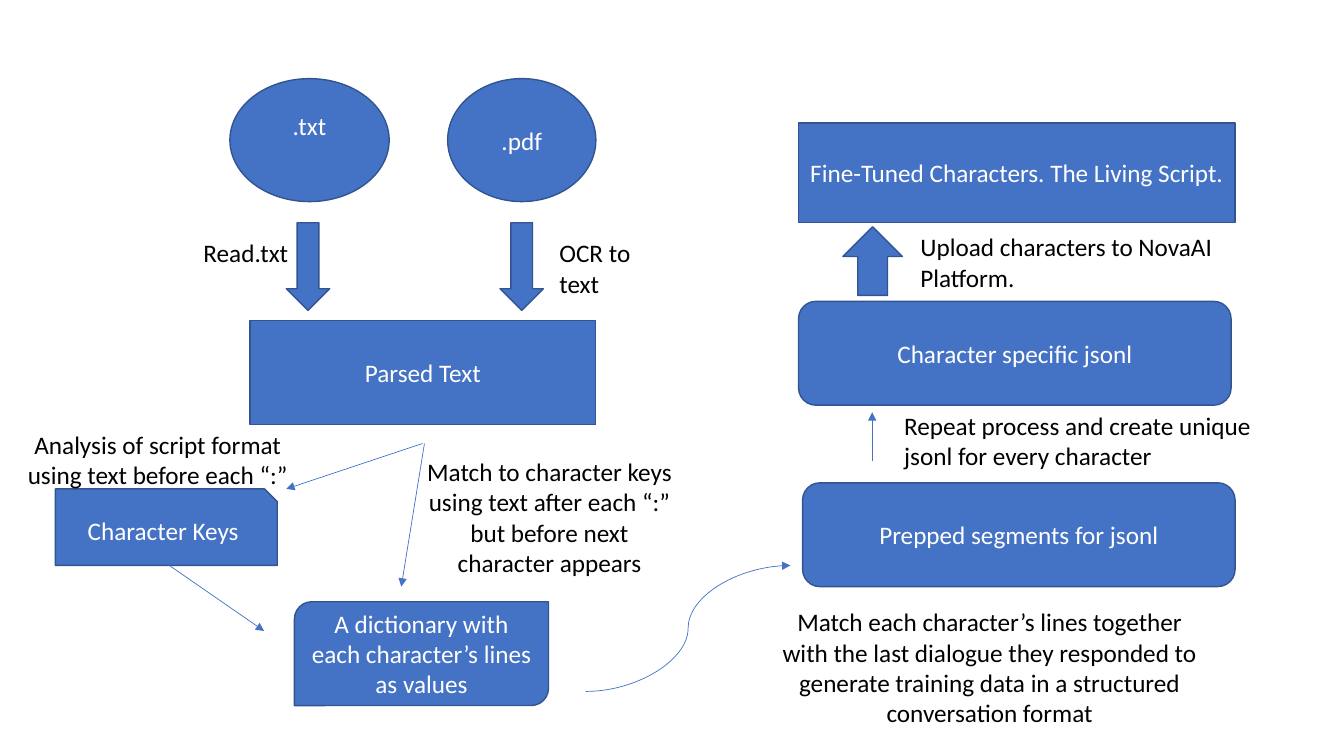
"""Build a flow slide that turns script files into fine-tuned characters."""
from pptx import Presentation
from pptx.dml.color import RGBColor
from pptx.enum.shapes import MSO_CONNECTOR as CONN, MSO_SHAPE as SHAPE
from pptx.enum.text import MSO_ANCHOR as ANCHOR, PP_ALIGN as ALIGN
from pptx.oxml.ns import qn
from pptx.util import Inches, Pt
from lxml import etree

COLORS = {"fill": "4472C4", "edge": "325491", "light": "FFFFFF", "dark": "000000"}
FONT, SIZE = "Calibri", 18

STEPS = [
    (SHAPE.OVAL, ".txt", (2.28, 0.78, 1.58, 1.22), 0.35),
    (SHAPE.OVAL, ".pdf", (4.44, 0.78, 1.47, 1.22), 0.05),
    (SHAPE.RECTANGLE, "Parsed Text", (2.48, 3.18, 3.43, 1.03), 0.05),
    (SHAPE.SNIP_1_RECTANGLE, "Character Keys", (0.55, 4.85, 2.2, 0.76), 0.05),
    (SHAPE.ROUND_2_DIAG_RECTANGLE, "A dictionary with each character’s lines as values",
     (2.92, 5.97, 2.52, 1.03), 0.05),
    (SHAPE.ROUNDED_RECTANGLE, "Prepped segments for jsonl", (7.96, 4.79, 4.29, 1.03), 0.05),
    (SHAPE.ROUNDED_RECTANGLE, "Character specific jsonl", (7.92, 2.99, 4.29, 1.03), 0.05),
    (SHAPE.RECTANGLE, "Fine-Tuned Characters. The Living Script.",
     (7.92, 1.22, 4.33, 0.99), 0.05),
]
BLOCK_ARROWS = [
    (SHAPE.DOWN_ARROW, (2.84, 2.21, 0.43, 0.87)),
    (SHAPE.DOWN_ARROW, (4.96, 2.21, 0.43, 0.87)),
    (SHAPE.UP_ARROW, (8.36, 2.25, 0.59, 0.68)),
]
LABELS = [
    ("Read.txt", (1.92, 2.31, 1.06, 0.4), ALIGN.LEFT),
    ("OCR to text", (5.45, 2.31, 0.93, 0.71), ALIGN.LEFT),
    ("Analysis of script format using text before each “:”",
     (0, 4.21, 3.13, 0.71), ALIGN.CENTER),
    ("Match to character keys using text after each “:” but before next character appears",
     (4.13, 4.48, 2.64, 1.36), ALIGN.CENTER),
    ("Match each character’s lines together with the last dialogue they responded to "
     "generate training data in a structured conversation format",
     (7.57, 5.97, 4.49, 1.31), ALIGN.CENTER),
    ("Repeat process and create unique jsonl for every character",
     (8.87, 4.02, 3.64, 0.71), ALIGN.LEFT),
    ("Upload characters to NovaAI Platform.", (9.03, 2.25, 3.31, 0.71), ALIGN.LEFT),
]
LINKS = [
    (CONN.STRAIGHT, (4.19, 4.4, 2.84, 4.85)),
    (CONN.STRAIGHT, (4.21, 4.4, 3.98, 5.82)),
    (CONN.STRAIGHT, (1.68, 5.61, 2.62, 6.26)),
    (CONN.CURVE, (5.81, 6.86, 7.84, 5.61)),
    (CONN.STRAIGHT, (8.65, 4.57, 8.65, 4.09)),
]


def rgb(name):
    return RGBColor.from_string(COLORS[name])


def write(sp, text, color="dark", align=ALIGN.LEFT, anchor=ANCHOR.TOP, bottom=0.05):
    tf = sp.text_frame
    tf.word_wrap = True
    tf.vertical_anchor = anchor
    tf.margin_bottom = Inches(bottom)
    p = tf.paragraphs[0]
    p.alignment = align
    r = p.add_run()
    r.text = text
    r.font.name, r.font.size = FONT, Pt(SIZE)
    r.font.color.rgb = rgb(color)


def add_block(s, kind, box):
    sp = s.shapes.add_shape(kind, *map(Inches, box))
    sp.shadow.inherit = False
    sp.fill.solid()
    sp.fill.fore_color.rgb = rgb("fill")
    sp.line.color.rgb = rgb("edge")
    sp.line.width = Pt(1)
    return sp


def add_link(s, kind, ends):
    link = s.shapes.add_connector(kind, *map(Inches, ends))
    link.line.color.rgb = rgb("fill")
    link.line.width = Pt(0.5)
    props = link._element.spPr
    etree.SubElement(props.find(qn("a:ln")), qn("a:tailEnd"), type="triangle")
    etree.SubElement(props, qn("a:effectLst"))


prs = Presentation()
prs.slide_width, prs.slide_height = Inches(13.33), Inches(7.5)
s = prs.slides.add_slide(prs.slide_layouts[6])

for kind, text, box, bottom in STEPS:
    write(add_block(s, kind, box), text, color="light", align=ALIGN.CENTER,
          anchor=ANCHOR.MIDDLE, bottom=bottom)
for kind, box in BLOCK_ARROWS:
    add_block(s, kind, box)
for kind, ends in LINKS:
    add_link(s, kind, ends)
for text, box, align in LABELS:
    write(s.shapes.add_textbox(*map(Inches, box)), text, align=align)

prs.save("out.pptx")
